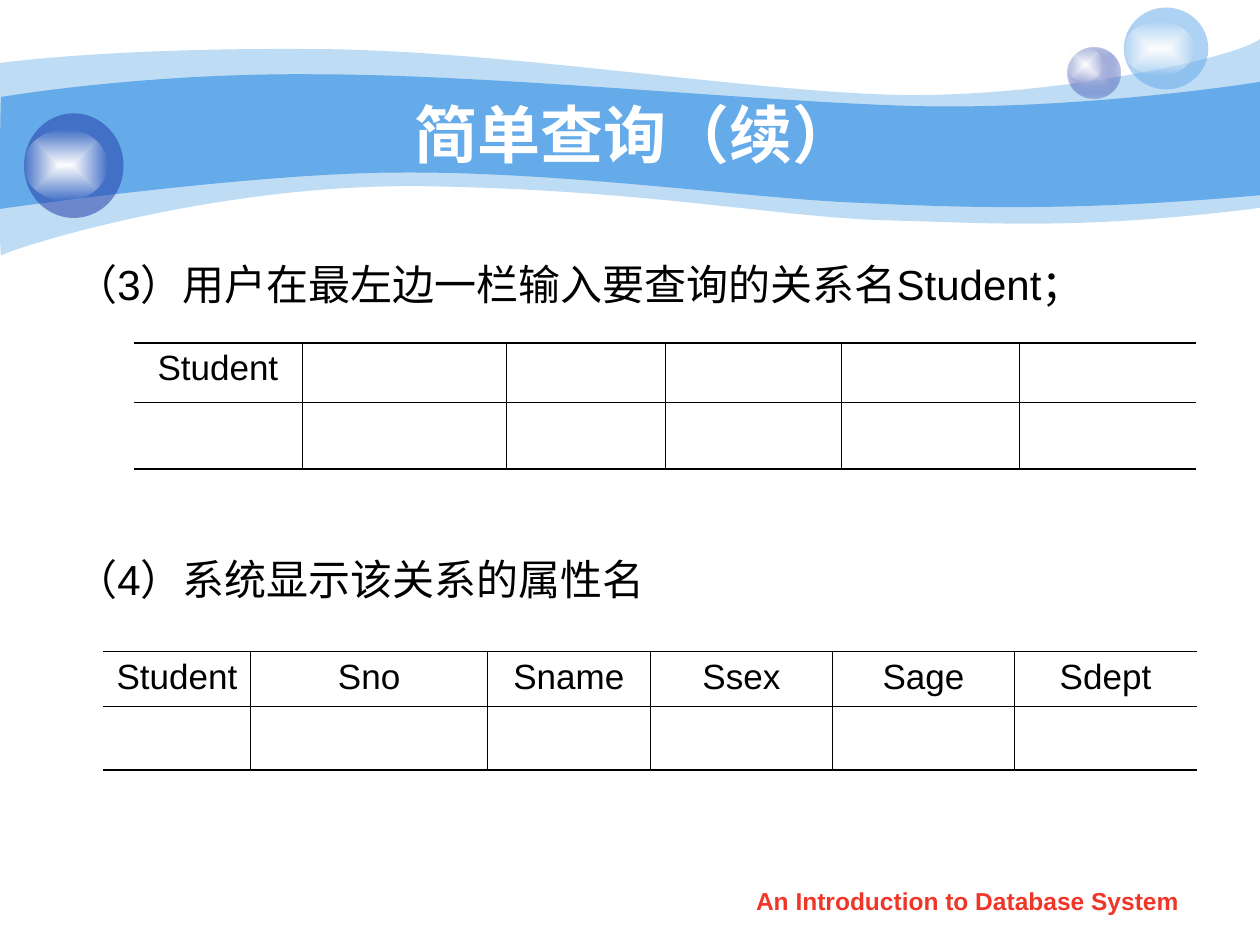
import pptx
import pptx.dml.color
import pptx.enum.shapes
import pptx.enum.text
import pptx.oxml
import pptx.oxml.ns
import pptx.util
from lxml import etree

Inches, Pt = pptx.util.Inches, pptx.util.Pt
ALIGN, ANCHOR = pptx.enum.text.PP_ALIGN, pptx.enum.text.MSO_ANCHOR
qn = pptx.oxml.ns.qn
FONT = "Arial"

TITLE = "简单查询（续）"
# Each step: text, space before in points (the second leaves room for a table)
STEPS = [
    ("（3）用户在最左边一栏输入要查询的关系名Student；", 6),
    ("（4）系统显示该关系的属性名", 140),
]
FOOTER = "An Introduction to Database System"
TABLES = [
    dict(at=(1.06, 2.72), cols=[1.34, 1.62, 1.26, 1.4, 1.41, 1.4],
         rows=[0.47, 0.53], heads=["Student"]),
    dict(at=(0.82, 5.17), cols=[1.17, 1.88, 1.29, 1.45, 1.44, 1.45],
         rows=[0.44, 0.5],
         heads=["Student", "Sno", "Sname", "Ssex", "Sage", "Sdept"]),
]
# Each wave: colour, opacity, start, then line ends (2 values) or Bezier curves (6)
WAVES = [
    ("65AAE9", 41, (0, 0.5), [
        (0.24, 0.47, 1.07, 0.38, 2.47, 0.39), (3.86, 0.39, 5.75, 0.7, 6.99, 0.75),
        (8.22, 0.8, 9.8, 0.47, 10, 0.31), (10, 1.65),
        (8.58, 1.83, 7.87, 1.77, 7.05, 1.75), (6.22, 1.73, 5.15, 1.51, 3.43, 1.48),
        (1.72, 1.44, 0.04, 1.99, 0.01, 2.03), (-0.01, 2.08, 0, 0.75, 0, 0.5)]),
    ("65AAE9", 100, (0.01, 0.77), [
        (0.02, 0.77, 1.1, 0.58, 2.48, 0.59), (3.86, 0.59, 5.95, 0.8, 7.18, 0.84),
        (8.41, 0.88, 9.76, 0.69, 10, 0.65), (10, 1.55),
        (8.53, 1.68, 7.65, 1.65, 6.82, 1.61), (5.99, 1.58, 4.47, 1.36, 3.17, 1.37),
        (2.03, 1.37, -0.02, 1.66, -0.01, 1.66), (0, 1.66, 0, 0.77, 0.01, 0.77)]),
]
# Each bubble part: box, then one (colour, opacity) or the two ends of a glow
SHINE = [("FFFFFF", 100), ("FEFEFE", 0)]
BUBBLES = [
    ((8.47, 0.38, 0.42, 0.4), [("C6CCE8", 100), ("233DA9", 31)]),
    ((8.47, 0.38, 0.28, 0.27), SHINE),
    ((8.92, 0.06, 0.67, 0.65), [("65AAE9", 53)]),
    ((8.92, 0.17, 0.56, 0.43), SHINE),
    ((0.19, 0.9, 0.79, 0.83), [("233DA9", 53)]),
    ((0.19, 1.03, 0.66, 0.56), SHINE),
]


def rgb(code):
    return pptx.dml.color.RGBColor.from_string(code)


def write(frame, text, size=20, color="000000", bold=False, align=ALIGN.LEFT,
          anchor=ANCHOR.TOP, before=0, hang=0):
    """Fill the frame's first paragraph, or add one if it has text."""
    frame.word_wrap = True
    frame.vertical_anchor = anchor
    para = frame.add_paragraph() if frame.text else frame.paragraphs[0]
    para.alignment = align
    para.space_before = Pt(before)
    if hang:
        props = para._p.get_or_add_pPr()
        props.set("marL", str(Inches(hang)))
        props.set("indent", str(-Inches(hang)))
    run = para.add_run()
    run.text = text
    font = run.font
    font.name, font.size, font.bold = FONT, Pt(size), bold
    font.color.rgb = rgb(color)


def add_box(slide, *box):
    return slide.shapes.add_textbox(*map(Inches, box)).text_frame


def set_alpha(node, alpha):
    if alpha < 100:
        etree.SubElement(node, qn("a:alpha"), val=str(alpha * 1000))


def paint(shape, color, alpha):
    shape.shadow.inherit = False
    shape.line.fill.background()
    shape.fill.solid()
    shape.fill.fore_color.rgb = rgb(color)
    set_alpha(shape._element.spPr.find(".//" + qn("a:srgbClr")), alpha)


def glow(shape, stops):
    """Swap the solid fill for a rectangular gradient out from the centre."""
    solid = shape._element.spPr.find(qn("a:solidFill"))
    grad = etree.Element(qn("a:gradFill"), rotWithShape="1")
    items = etree.SubElement(grad, qn("a:gsLst"))
    for pos, (color, alpha) in zip((0, 100000), stops):
        stop = etree.SubElement(items, qn("a:gs"), pos=str(pos))
        set_alpha(etree.SubElement(stop, qn("a:srgbClr"), val=color), alpha)
    way = etree.SubElement(grad, qn("a:path"), path="rect")
    etree.SubElement(way, qn("a:fillToRect"), **dict.fromkeys("ltrb", "50000"))
    solid.getparent().replace(solid, grad)


def add_wave(slide, color, alpha, start, parts):
    """Draw through all points, then turn each run of three into a curve."""
    points = [(Inches(part[i]), Inches(part[i + 1]))
              for part in parts for i in range(0, len(part), 2)]
    maker = slide.shapes.build_freeform(*map(Inches, start))
    maker.add_line_segments(points, close=True)
    shape = maker.convert_to_shape()
    lines = iter(list(shape._element.iter(qn("a:lnTo"))))
    for part in parts:
        first, *rest = [next(lines) for _ in range(len(part) // 2)]
        if rest:
            first.tag = qn("a:cubicBezTo")
            for line in rest:
                first.append(line[0])
                line.getparent().remove(line)
    paint(shape, color, alpha)


def add_bubble(slide, box, stops):
    oval = pptx.enum.shapes.MSO_SHAPE.OVAL
    shape = slide.shapes.add_shape(oval, *map(Inches, box))
    paint(shape, *stops[0])
    if len(stops) == 2:
        glow(shape, stops)


def set_border(cell, side, width):
    props = cell._tc.get_or_add_tcPr()
    line = etree.SubElement(props, qn("a:ln" + side), w=str(Pt(width)))
    if width:
        fill = etree.SubElement(line, qn("a:solidFill"))
        etree.SubElement(fill, qn("a:srgbClr"), val="000000")
    else:
        etree.SubElement(line, qn("a:noFill"))


def add_grid(slide, at, cols, rows, heads):
    """Add a table that is open at its left and right sides."""
    box = (*at, sum(cols), sum(rows))
    table = slide.shapes.add_table(len(rows), len(cols), *map(Inches, box)).table
    table.first_row = table.horz_banding = False
    for col, width in zip(table.columns, cols):
        col.width = Inches(width)
    for row, height in zip(table.rows, rows):
        row.height = Inches(height)
    thin, thick = 0.45, 1.08
    for r in range(len(rows)):
        for c in range(len(cols)):
            cell = table.cell(r, c)
            set_border(cell, "L", thin if c else 0)
            set_border(cell, "R", thin if c < len(cols) - 1 else 0)
            set_border(cell, "T", thin if r else thick)
            set_border(cell, "B", thin if r < len(rows) - 1 else thick)
            cell.fill.background()
    for c, head in enumerate(heads):
        write(table.cell(0, c).text_frame, head, align=ALIGN.CENTER, before=5)


def main():
    deck = pptx.Presentation()
    deck.slide_width, deck.slide_height = Inches(10), Inches(7.5)
    slide = deck.slides.add_slide(deck.slide_layouts[5])
    for wave in WAVES:
        add_wave(slide, *wave)
    for bubble in BUBBLES:
        add_bubble(slide, *bubble)

    title = slide.shapes.title
    slide.shapes._spTree.append(title._element)  # in front of the waves
    title.left, title.top, title.width, title.height = map(
        Inches, (1, 0.75, 8.08, 0.62))
    write(title.text_frame, TITLE, size=36, color="FFFFFF", bold=True,
          align=ALIGN.CENTER, anchor=ANCHOR.MIDDLE)

    body = add_box(slide, 0.5, 2, 9.07, 4.92)
    for step, before in STEPS:
        write(body, step, size=24, before=before, hang=0.38)
    for grid in TABLES:
        add_grid(slide, **grid)
    write(add_box(slide, 5.71, 6.98, 3.94, 0.35), FOOTER, size=14,
          color="F03628", bold=True, align=ALIGN.CENTER)
    deck.save("out.pptx")


if __name__ == "__main__":
    main()
